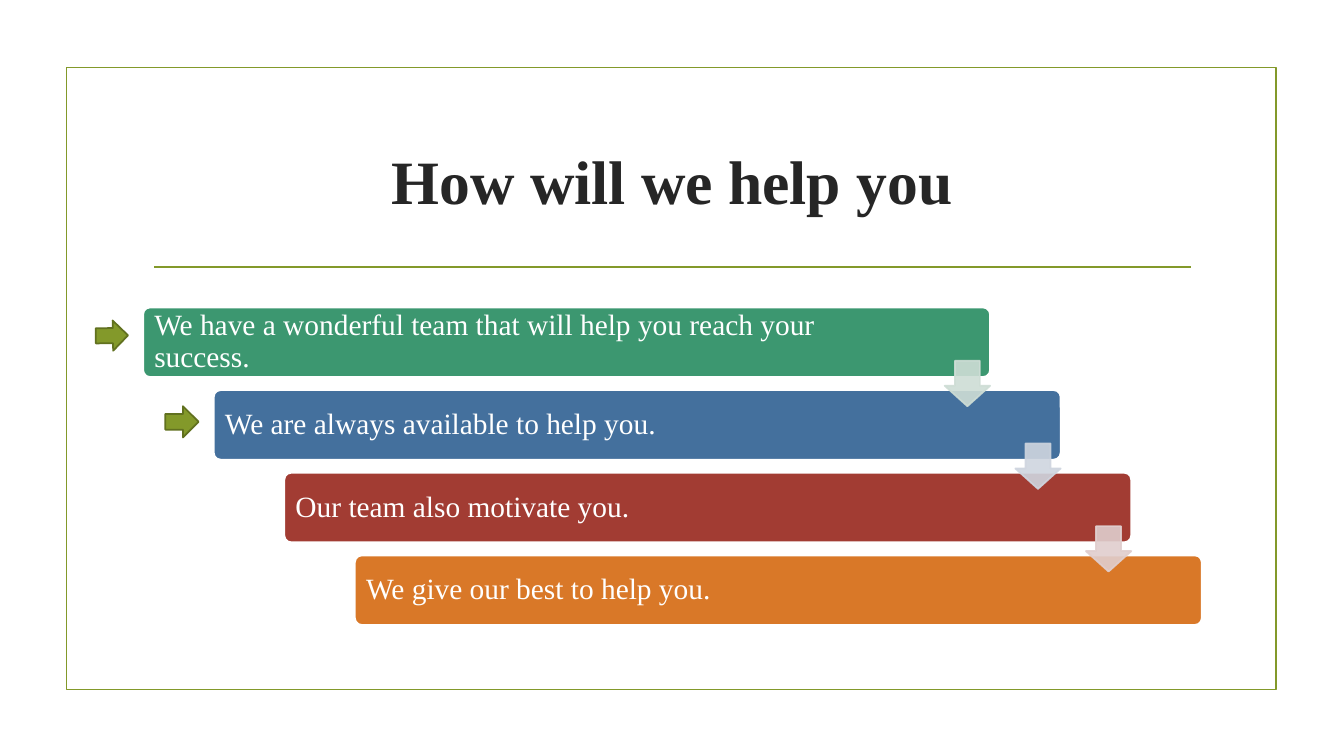
from dataclasses import dataclass

from lxml import etree
from pptx import Presentation
from pptx.dml.color import RGBColor
from pptx.enum.shapes import MSO_CONNECTOR, MSO_SHAPE
from pptx.enum.text import MSO_ANCHOR, PP_ALIGN
from pptx.oxml.ns import qn
from pptx.util import Inches, Pt

RECTANGLE = MSO_SHAPE.RECTANGLE
ROUNDED = MSO_SHAPE.ROUNDED_RECTANGLE
DOWN_ARROW = MSO_SHAPE.DOWN_ARROW
RIGHT_ARROW = MSO_SHAPE.RIGHT_ARROW
STRAIGHT = MSO_CONNECTOR.STRAIGHT
MIDDLE = MSO_ANCHOR.MIDDLE
LEFT, CENTER = PP_ALIGN.LEFT, PP_ALIGN.CENTER


@dataclass(frozen=True)
class Theme:
    font: str = "Times New Roman"
    title_size: float = 44
    step_size: float = 21
    line_width: float = 1.25
    accent: str = "83992A"
    accent_dark: str = "61711F"
    title: str = "262626"
    white: str = "FFFFFF"


THEME = Theme()

# Step text, bar colour, colour of the arrow to the next step, text width
STEPS = [
    ("We have a wonderful team that will help you reach your success.", "3C9770", "CEDDD5", 7.6),
    ("We are always available to help you.", "44709D", "CFD5DF", 7.21),
    ("Our team also motivate you.", "A23C33", "E0CECE", 7.21),
    ("We give our best to help you.", "D97828", None, 7.21),
]
BAR_LEFT, BAR_TOP, BAR_WIDTH, BAR_HEIGHT = 1.42, 3.05, 8.4, 0.69
STEP_RIGHT, STEP_DOWN = 0.7, 0.82
ARROW_SIZE = 0.45


def write_text(shape, text, *, size, color, bold=False, align=LEFT, spacing=1.0, inset=0.1):
    frame = shape.text_frame
    frame.word_wrap = True
    frame.vertical_anchor = MIDDLE
    frame.margin_left = frame.margin_right = Inches(inset)
    frame.margin_top = frame.margin_bottom = Inches(inset)
    paragraph = frame.paragraphs[0]
    paragraph.alignment = align
    paragraph.line_spacing = spacing
    run = paragraph.add_run()
    run.text = text
    run.font.name = THEME.font
    run.font.size = Pt(size)
    run.font.bold = bold
    run.font.color.rgb = RGBColor.from_string(color)


class SlideBuilder:
    def __init__(self, slide, theme):
        self.slide = slide
        self.theme = theme

    def outline(self, line, color):
        line.color.rgb = RGBColor.from_string(color)
        line.width = Pt(self.theme.line_width)

    def shape(self, kind, left, top, width, height, *, fill=None, line, adjustments=(),
              rotation=0, opacity=None):
        shape = self.slide.shapes.add_shape(
            kind, Inches(left), Inches(top), Inches(width), Inches(height))
        shape.shadow.inherit = False
        shape.rotation = rotation
        for index, value in enumerate(adjustments):
            shape.adjustments[index] = value
        if fill:
            shape.fill.solid()
            shape.fill.fore_color.rgb = RGBColor.from_string(fill)
        else:
            shape.fill.background()
        self.outline(shape.line, line)
        if opacity is not None:
            for color in shape._element.spPr.iter(qn("a:srgbClr")):
                etree.SubElement(color, qn("a:alpha"), val=str(opacity * 1000))
        return shape

    def rule(self, left, right, top):
        connector = self.slide.shapes.add_connector(
            STRAIGHT, Inches(left), Inches(top), Inches(right), Inches(top))
        self.outline(connector.line, self.theme.accent)
        etree.SubElement(connector._element.spPr, qn("a:effectLst"))

    def text(self, text, left, top, width, height, **text_format):
        box = self.slide.shapes.add_textbox(
            Inches(left), Inches(top), Inches(width), Inches(height))
        write_text(box, text, **text_format)

    def pointer(self, left, top, width, height, rotation=0):
        self.shape(RIGHT_ARROW, left, top, width, height, fill=self.theme.accent,
                   line=self.theme.accent_dark, rotation=rotation)


def main():
    presentation = Presentation()
    presentation.slide_width = Inches(13.33)
    presentation.slide_height = Inches(7.5)
    slide = presentation.slides.add_slide(presentation.slide_layouts[6])
    builder = SlideBuilder(slide, THEME)

    # Frame, title and rule
    builder.shape(RECTANGLE, 0.66, 0.67, 12, 6.17, line=THEME.accent)
    builder.rule(1.53, 11.81, 2.65)
    builder.text("How will we help you", 1.42, 1.07, 10.5, 1.43, size=THEME.title_size,
                 color=THEME.title, bold=True, align=CENTER)

    # Staircase of steps
    for index, (text, fill, _, text_width) in enumerate(STEPS):
        left = BAR_LEFT + index * STEP_RIGHT
        top = BAR_TOP + index * STEP_DOWN
        builder.shape(ROUNDED, left, top, BAR_WIDTH, BAR_HEIGHT, fill=fill,
                      line=THEME.white, adjustments=[0.1])
        builder.text(text, left + 0.02, top + 0.02, text_width, 0.65, size=THEME.step_size,
                     color=THEME.white, spacing=0.9, inset=0.09)

    # Arrows from each step to the next, flush with the bar's right edge
    for index, (_, _, arrow_color, _) in enumerate(STEPS[:-1]):
        left = BAR_LEFT + BAR_WIDTH - ARROW_SIZE + index * STEP_RIGHT
        top = 3.58 + index * STEP_DOWN
        builder.shape(DOWN_ARROW, left, top, ARROW_SIZE, ARROW_SIZE, fill=arrow_color,
                      line=arrow_color, adjustments=[0.55, 0.45], opacity=90)

    # Pointers beside the first two steps
    builder.pointer(0.95, 3.18, 0.32, 0.3, rotation=359)
    builder.pointer(1.64, 4.03, 0.33, 0.31)

    presentation.save("out.pptx")


if __name__ == "__main__":
    main()
